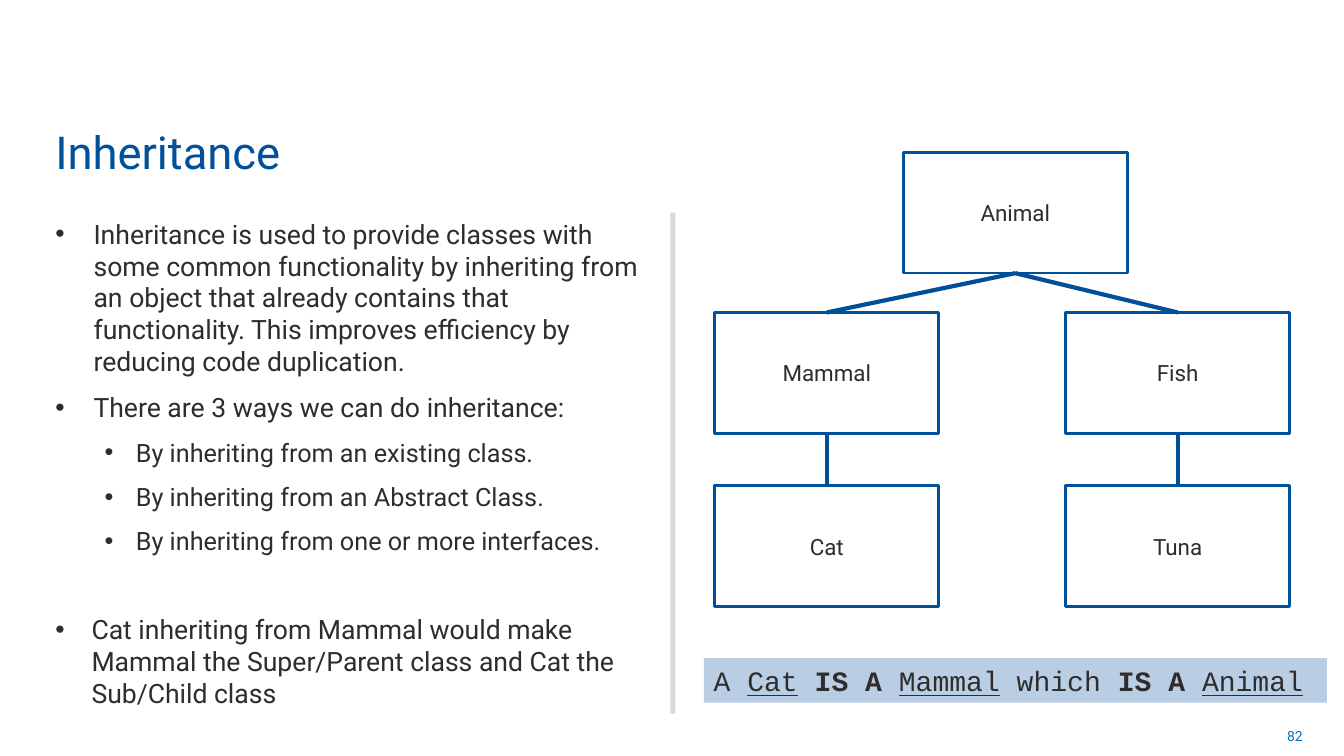
"""Build the Inheritance slide with its class tree."""
from lxml import etree
from pptx import Presentation
from pptx.dml.color import RGBColor
from pptx.enum.shapes import MSO_CONNECTOR as CONN, MSO_SHAPE as SHAPE
from pptx.enum.text import MSO_ANCHOR as ANCHOR, PP_ALIGN as ALIGN
from pptx.oxml.ns import qn
from pptx.util import Inches, Pt

INK, BLUE = "2E2D2C", "00519C"


def rgb(code):
    return RGBColor.from_string(code)


def add_run(p, text, size, color=INK, font="Roboto"):
    r = p.add_run()
    r.text = text
    r.font.size, r.font.name = Pt(size), font
    r.font.color.rgb = rgb(color)
    return r


prs = Presentation()
prs.slide_width, prs.slide_height = Inches(13.33), Inches(7.5)
s = prs.slides.add_slide(prs.slide_layouts[6])

labels = [
    ("82", 9.91, 7.1, 3.11, 0.4, 10, "0070C0", ALIGN.RIGHT, ANCHOR.MIDDLE),
    ("Inheritance", 0.45, 1.13, 9.98, 0.69, 32.4, BLUE, ALIGN.LEFT, ANCHOR.BOTTOM),
]
for text, x, y, w, h, size, color, align, anchor in labels:
    tf = s.shapes.add_textbox(Inches(x), Inches(y), Inches(w), Inches(h)).text_frame
    tf.word_wrap, tf.vertical_anchor = True, anchor
    p = tf.paragraphs[0]
    p.alignment = align
    add_run(p, text, size, color)

divider = s.shapes.add_shape(SHAPE.RECTANGLE, Inches(6.65), Inches(2.11), Inches(0.05), Inches(4.97))
divider.shadow.inherit = False
divider.fill.solid()
divider.fill.fore_color.rgb = rgb("D9D9D9")
divider.line.fill.background()

bullets = [
    ("Inheritance is used to provide classes with some common functionality by "
     "inheriting from an object that already contains that functionality. "
     "This improves efficiency by reducing code duplication.", 0, 0.38, 2),
    ("There are 3 ways we can do inheritance:", 0, 0.38, 2),
    ("By inheriting from an existing class.", 1, 0.8, 2),
    ("By inheriting from an Abstract Class.", 1, 0.8, 2),
    ("By inheriting from one or more interfaces.", 1, 0.8, 2),
    ("Cat inheriting from Mammal would make Mammal the Super/Parent class "
     "and Cat the Sub/Child class", 0, 0.36, 33),
]
tf = s.shapes.add_textbox(Inches(0.45), Inches(2.11), Inches(6.1), Inches(4.97)).text_frame
tf.word_wrap = True
for i, (text, level, indent, before) in enumerate(bullets):
    p = tf.paragraphs[0] if i == 0 else tf.add_paragraph()
    p.level, p.space_before, p.space_after = level, Pt(before), Pt(8)
    add_run(p, text, 18 if level else 19)
    pPr = p._p.get_or_add_pPr()
    pPr.set("marL", str(Inches(indent)))
    pPr.set("indent", str(-Inches(0.31 if level else 0.38)))
    etree.SubElement(pPr, qn("a:buFont"), typeface="Arial")
    etree.SubElement(pPr, qn("a:buChar"), char="•")

BOX_W, BOX_H = 2.22, 1.2
boxes = {
    "Animal": (8.96, 1.51),
    "Mammal": (7.09, 3.1),
    "Fish": (10.57, 3.1),
    "Cat": (7.09, 4.82),
    "Tuna": (10.57, 4.82),
}
for name, (x, y) in boxes.items():
    sp = s.shapes.add_shape(SHAPE.RECTANGLE, Inches(x), Inches(y), Inches(BOX_W), Inches(BOX_H))
    sp.shadow.inherit = False
    sp.fill.solid()
    sp.fill.fore_color.rgb = rgb("FFFFFF")
    sp.line.color.rgb, sp.line.width = rgb(BLUE), Pt(2)
    sp.text_frame.vertical_anchor = ANCHOR.MIDDLE
    p = sp.text_frame.paragraphs[0]
    p.alignment = ALIGN.CENTER
    add_run(p, name, 16)

for parent, child in [("Animal", "Mammal"), ("Animal", "Fish"), ("Fish", "Tuna"), ("Mammal", "Cat")]:
    (px, py), (cx, cy) = boxes[parent], boxes[child]
    link = s.shapes.add_connector(CONN.STRAIGHT, Inches(px + BOX_W / 2), Inches(py + BOX_H),
                                  Inches(cx + BOX_W / 2), Inches(cy))
    link.line.color.rgb, link.line.width = rgb("004F99"), Pt(3)
    etree.SubElement(link._element.spPr, qn("a:effectLst"))

bar = s.shapes.add_shape(SHAPE.RECTANGLE, Inches(6.98), Inches(6.53), Inches(6.18), Inches(0.44))
bar.shadow.inherit = False
bar.fill.solid()
bar.fill.fore_color.rgb = rgb("B9CDE5")
bar.line.fill.background()
tf = bar.text_frame
tf.word_wrap, tf.vertical_anchor = True, ANCHOR.TOP
p = tf.paragraphs[0]
p.alignment = ALIGN.LEFT
for text in ["A ", "Cat", " ", "IS A ", "Mammal", " which ", "IS A ", "Animal"]:
    r = add_run(p, text, 20, INK, "Courier New")
    r.font.bold = text == "IS A "
    r.font.underline = text in boxes

prs.save("out.pptx")
